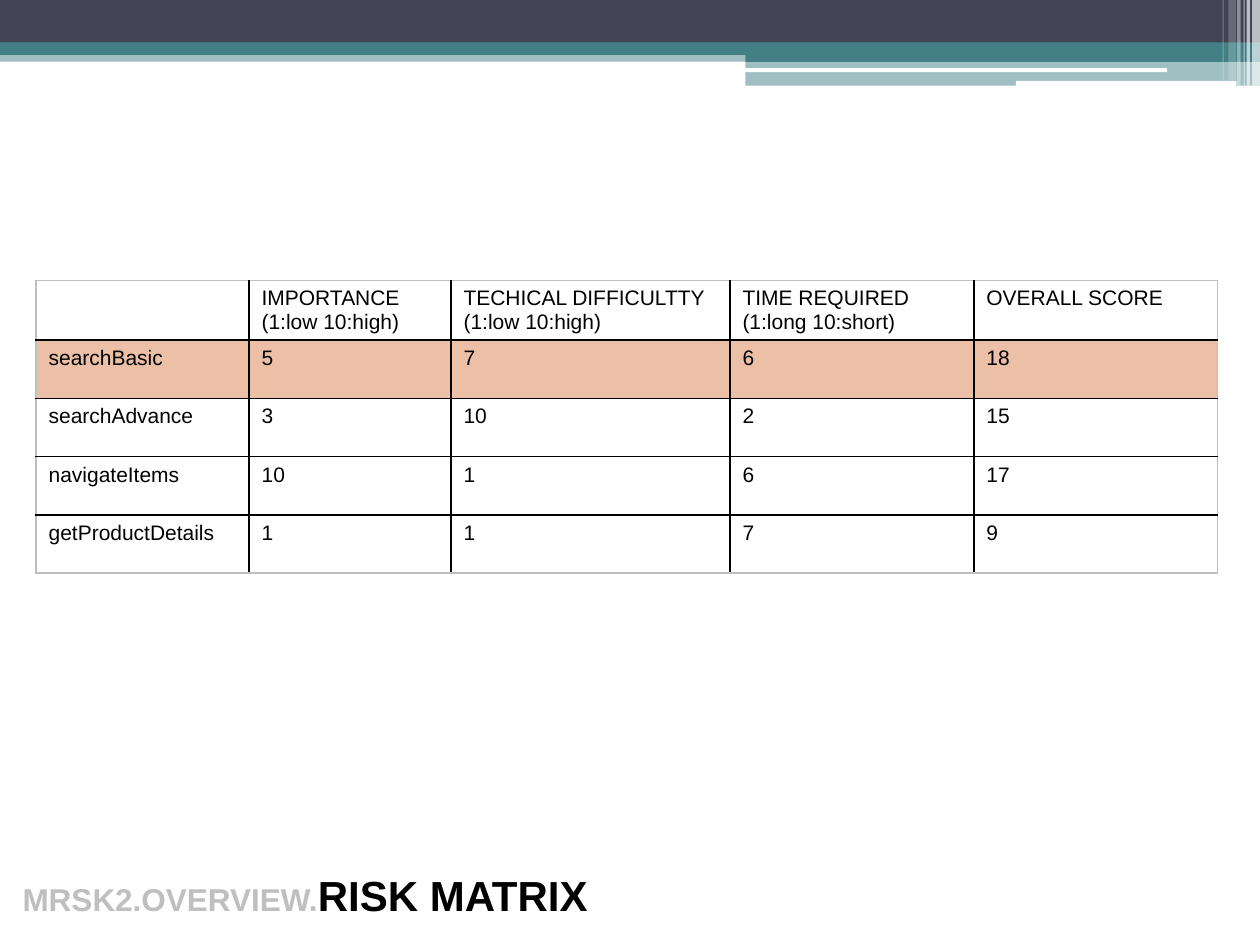
"""Build the risk matrix slide with its banner, score table and footer title."""
import dataclasses

import lxml.etree
import pptx
import pptx.dml.color
import pptx.enum.shapes
import pptx.enum.text
import pptx.oxml.ns
import pptx.util

Pt = pptx.util.Pt
RECT = pptx.enum.shapes.MSO_SHAPE.RECTANGLE
ROUNDED = pptx.enum.shapes.MSO_SHAPE.ROUNDED_RECTANGLE


@dataclasses.dataclass(frozen=True)
class Theme:
    font: str = "Arial"
    navy: str = "424456"
    teal: str = "438086"
    white: str = "FFFFFF"
    black: str = "000000"
    grey: str = "BFBFBF"
    highlight: str = "EBC0A7"
    table_size: float = 12
    prefix_size: float = 18
    title_size: float = 24
    border: float = 1


@dataclasses.dataclass(frozen=True)
class Bar:
    left: float
    top: float
    width: float
    height: float
    color: str
    opacity: int = 100
    shape: int = RECT


THEME = Theme()

BARS = [
    Bar(0, 28.8, 720, 6.5, THEME.teal, 50),
    Bar(0, 0, 720, 24.5, THEME.navy),
    Bar(0, 24.2, 720, 7.2, THEME.teal),
    Bar(426, 28.2, 294, 7.2, THEME.teal),
    Bar(426, 35, 294, 14, THEME.teal, 50),
    Bar(425.8, 39, 241.2, 2.2, THEME.white, shape=ROUNDED),
    Bar(580.5, 46.2, 126, 2.8, THEME.white, shape=ROUNDED),
    Bar(715.5, 0, 4.5, 49, THEME.white, 65),
    Bar(712.3, 0, 2, 49, THEME.white, 65),
    Bar(710.6, 0, 0.72, 49, THEME.white, 60),
    Bar(707, 0, 2, 49, THEME.white, 40),
    Bar(702, 0, 4.3, 46, THEME.white, 20),
    Bar(698.6, 0, 0.72, 46, THEME.white, 30),
]

COLUMN_WIDTHS = [121.7, 115.4, 159.4, 139.4, 139.4]
ROW_HEIGHTS = [34] + [33.3] * 4
HIGHLIGHTED_ROW = 1
ROWS = [
    [
        "",
        "IMPORTANCE\n(1:low 10:high)",
        "TECHICAL DIFFICULTTY\n(1:low 10:high)",
        "TIME REQUIRED\n(1:long 10:short)",
        "OVERALL SCORE",
    ],
    ["searchBasic", "5", "7", "6", "18"],
    ["searchAdvance", "3", "10", "2", "15"],
    ["navigateItems", "10", "1", "6", "17"],
    ["getProductDetails", "1", "1", "7", "9"],
]


def rgb(color: str) -> pptx.dml.color.RGBColor:
    return pptx.dml.color.RGBColor.from_string(color)


def add_run(p, text: str, size: float, color: str, bold: bool = False) -> None:
    r = p.add_run()
    r.text = text
    r.font.name = THEME.font
    r.font.size = Pt(size)
    r.font.bold = bold
    r.font.color.rgb = rgb(color)


def add_bar(slide, bar: Bar) -> None:
    sp = slide.shapes.add_shape(
        bar.shape, Pt(bar.left), Pt(bar.top), Pt(bar.width), Pt(bar.height)
    )
    sp.shadow.inherit = False
    sp.line.fill.background()
    sp.fill.solid()
    sp.fill.fore_color.rgb = rgb(bar.color)
    if bar.opacity < 100:
        clr = sp.fill._xPr.find(".//" + pptx.oxml.ns.qn("a:srgbClr"))
        alpha = lxml.etree.SubElement(clr, pptx.oxml.ns.qn("a:alpha"))
        alpha.set("val", str(bar.opacity * 1000))


def set_borders(cell, colors: dict[str, str]) -> None:
    tc_pr = cell._tc.get_or_add_tcPr()
    for i, (side, color) in enumerate(colors.items()):
        ln = lxml.etree.Element(
            pptx.oxml.ns.qn(f"a:ln{side}"), w=str(Pt(THEME.border))
        )
        fill = lxml.etree.SubElement(ln, pptx.oxml.ns.qn("a:solidFill"))
        lxml.etree.SubElement(fill, pptx.oxml.ns.qn("a:srgbClr"), val=color)
        tc_pr.insert(i, ln)


def fill_cell(cell, text: str, highlighted: bool) -> None:
    if highlighted:
        cell.fill.solid()
        cell.fill.fore_color.rgb = rgb(THEME.highlight)
    else:
        cell.fill.background()
    tf = cell.text_frame
    for i, line in enumerate(text.splitlines()):
        p = tf.add_paragraph() if i else tf.paragraphs[0]
        add_run(p, line, THEME.table_size, THEME.black)


def add_matrix(slide, left: float, top: float) -> None:
    table = slide.shapes.add_table(
        len(ROWS), len(COLUMN_WIDTHS), Pt(left), Pt(top),
        Pt(sum(COLUMN_WIDTHS)), Pt(sum(ROW_HEIGHTS)),
    ).table
    table.first_row = table.horz_banding = False
    for column, width in zip(table.columns, COLUMN_WIDTHS):
        column.width = Pt(width)
    for row, height in zip(table.rows, ROW_HEIGHTS):
        row.height = Pt(height)
    last_row, last_col = len(ROWS) - 1, len(COLUMN_WIDTHS) - 1
    for i, texts in enumerate(ROWS):
        for j, text in enumerate(texts):
            cell = table.cell(i, j)
            fill_cell(cell, text, i == HIGHLIGHTED_ROW)
            outer = {"L": j == 0, "R": j == last_col, "T": i == 0, "B": i == last_row}
            set_borders(cell, {
                side: THEME.grey if edge else THEME.black
                for side, edge in outer.items()
            })


def add_title(slide) -> None:
    sp = slide.shapes.add_textbox(Pt(5.8), Pt(493.2), Pt(752.4), Pt(36))
    tf = sp.text_frame
    tf.word_wrap = True
    tf.auto_size = pptx.enum.text.MSO_AUTO_SIZE.SHAPE_TO_FIT_TEXT
    p = tf.paragraphs[0]
    add_run(p, "MRSK2.OVERVIEW.", THEME.prefix_size, THEME.grey, bold=True)
    add_run(p, "RISK MATRIX", THEME.title_size, THEME.black, bold=True)


def main() -> None:
    prs = pptx.Presentation()
    prs.slide_width, prs.slide_height = Pt(720), Pt(540)
    slide = prs.slides.add_slide(prs.slide_layouts[6])
    for bar in BARS:
        add_bar(slide, bar)
    add_matrix(slide, 20.6, 160.3)
    add_title(slide)
    prs.save("out.pptx")


if __name__ == "__main__":
    main()
